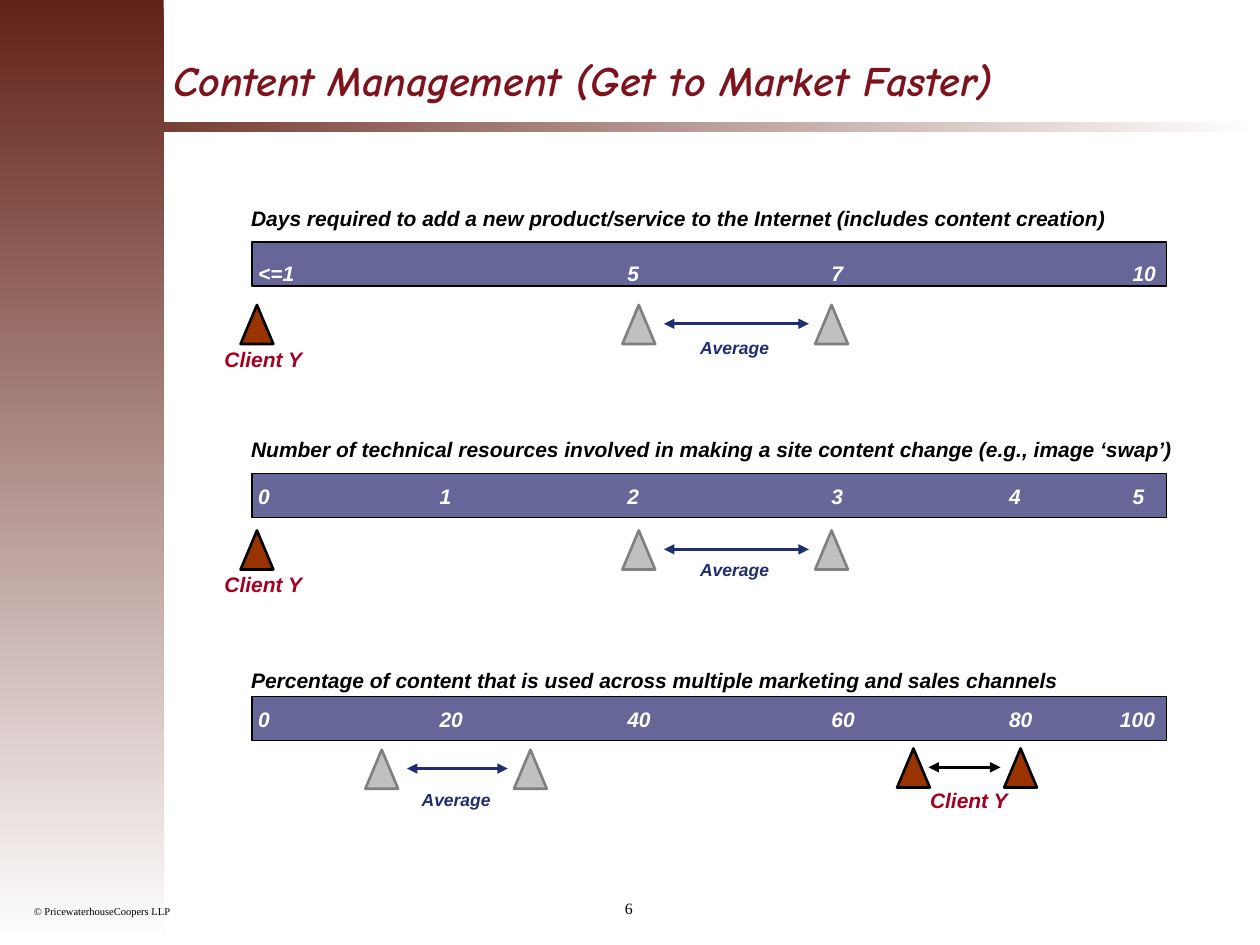
from dataclasses import dataclass
from typing import NamedTuple

from lxml.etree import SubElement
from pptx import Presentation
from pptx.dml.color import RGBColor as RGB
from pptx.enum.shapes import MSO_CONNECTOR as Conn, MSO_SHAPE as Shape
from pptx.enum.text import MSO_ANCHOR as Anchor, MSO_AUTO_SIZE as Fit, PP_ALIGN as Align
from pptx.oxml.ns import qn
from pptx.util import Inches, Pt

COLS, ROWS = 100, 75
WIDTH, HEIGHT = Inches(10), Inches(7.5)


@dataclass(frozen=True)
class Theme:
    maroon: str = "622218"
    title: str = "7C131D"
    bar: str = "666699"
    average: str = "202D6F"
    client: str = "A50021"
    client_fill: str = "993300"
    average_fill: str = "C0C0C0"
    average_edge: str = "808080"
    black: str = "000000"
    white: str = "FFFFFF"
    sans: str = "Arial"
    serif: str = "Times New Roman"
    display: str = "Comic Neue"
    title_size: float = 24
    body_size: float = 12
    label_size: float = 10
    page_size: float = 9
    legal_size: float = 6


T = Theme()


class Box(NamedTuple):
    x: float
    y: float
    w: float
    h: float


class Kind(NamedTuple):
    label: str
    fill: str
    edge: str
    arrow: str
    color: str
    size: float
    w: float
    h: float
    gap_left: float
    gap_right: float


CLIENT = Kind("Client Y", T.client_fill, T.black, T.black, T.client,
              T.body_size, 8.4, 3, 2.5, 0.3)
AVERAGE = Kind("Average", T.average_fill, T.average_edge, T.average, T.average,
               T.label_size, 8, 2.7, 3.3, 0.5)


class Marker(NamedTuple):
    kind: Kind
    xs: tuple
    y: float
    label_x: float
    label_y: float


class Scale(NamedTuple):
    caption: str
    caption_box: Box
    bar_y: float
    tick_y: float
    ticks: dict
    markers: tuple


TICK_X = (19.5, 33.9, 48.8, 65, 79.1, 88.9)
SCALES = (
    Scale("Days required to add a new product/service to the Internet (includes content creation)",
          Box(18.95, 15.8, 71, 3), 19.2, 20.2,
          {"<=1": 19.5, "5": 48.8, "7": 65, "10": 88.9},
          (Marker(CLIENT, (19.1,), 24.2, 16.7, 27),
           Marker(AVERAGE, (49.4, 64.7), 24.2, 54.3, 26.25))),
    Scale("Number of technical resources involved in making a site content change (e.g., image ‘swap’)",
          Box(18.95, 34.15, 77, 3), 37.6, 37.9,
          dict(zip("012345", TICK_X)),
          (Marker(CLIENT, (19.1,), 42.1, 16.7, 44.85),
           Marker(AVERAGE, (49.4, 64.7), 42.1, 54.3, 43.9))),
    Scale("Percentage of content that is used across multiple marketing and sales channels",
          Box(18.95, 52.5, 67, 3), 55.3, 55.6,
          dict(zip(("0", "20", "40", "60", "80", "100"), TICK_X[:5] + (87.9,))),
          (Marker(AVERAGE, (29, 40.8), 59.5, 32.2, 62.1),
           Marker(CLIENT, (71.2, 79.7), 59.4, 72.7, 62))),
)


def col(n: float) -> int:
    return round(WIDTH * n / COLS)


def row(n: float) -> int:
    return round(HEIGHT * n / ROWS)


def place(box: Box) -> tuple:
    return col(box.x), row(box.y), col(box.w), row(box.h)


def apply(target, values: dict) -> None:
    for name, value in values.items():
        setattr(target, name, value)


def write(tf, text: str, size: float, color: str, font: str = T.sans,
          strong: bool = True, align=Align.LEFT, spacing: float = 1.0) -> None:
    p = tf.paragraphs[0]
    apply(p, {"alignment": align, "line_spacing": spacing})
    r = p.add_run()
    r.text = text
    apply(r.font, {"name": font, "size": Pt(size), "bold": strong, "italic": strong})
    r.font.color.rgb = RGB.from_string(color)


def add_text(s, box: Box, text: str, size: float, color: str, **style) -> None:
    tf = s.shapes.add_textbox(*place(box)).text_frame
    apply(tf, {"word_wrap": False, "auto_size": Fit.NONE})
    write(tf, text, size, color, **style)


def add_solid(s, preset, box: Box, fill: str, edge: str, weight: float) -> None:
    sp = s.shapes.add_shape(preset, *place(box))
    sp.shadow.inherit = False
    sp.fill.solid()
    sp.fill.fore_color.rgb = RGB.from_string(fill)
    sp.line.color.rgb = RGB.from_string(edge)
    sp.line.width = Pt(weight)


def add_fade(s, box: Box, angle: float) -> None:
    sp = s.shapes.add_shape(Shape.RECTANGLE, *place(box))
    sp.shadow.inherit = False
    sp.line.fill.background()
    sp.fill.gradient()
    sp.fill.gradient_angle = angle
    for stop, color in zip(sp.fill.gradient_stops, (T.maroon, T.white)):
        stop.color.rgb = RGB.from_string(color)


def add_arrow(s, x1: float, x2: float, y: float, color: str) -> None:
    line = s.shapes.add_connector(Conn.STRAIGHT, col(x1), row(y), col(x2), row(y))
    line.line.color.rgb = RGB.from_string(color)
    line.line.width = Pt(1.5)
    ln = line.line._get_or_add_ln()
    for end in ("a:headEnd", "a:tailEnd"):
        SubElement(ln, qn(end), type="triangle")
    SubElement(line._element.spPr, qn("a:effectLst"))


def add_marker(s, m: Marker) -> None:
    k = m.kind
    for x in m.xs:
        add_solid(s, Shape.ISOSCELES_TRIANGLE, Box(x, m.y, 2.6, 3.1), k.fill, k.edge, 1.5)
    if len(m.xs) == 2:
        add_arrow(s, m.xs[0] + k.gap_left, m.xs[1] - k.gap_right, m.y + 1.5, k.arrow)
    add_text(s, Box(m.label_x, m.label_y, k.w, k.h), k.label, k.size, k.color,
             align=Align.CENTER)


def add_scale(s, scale: Scale) -> None:
    add_solid(s, Shape.RECTANGLE, Box(20, scale.bar_y, 72.6, 3.5), T.bar, T.black, 0.75)
    add_text(s, scale.caption_box, scale.caption, T.body_size, T.black)
    for text, x in scale.ticks.items():
        add_text(s, Box(x, scale.tick_y, 1.9 + len(text), 3), text, T.body_size, T.white)
    for marker in scale.markers:
        add_marker(s, marker)


def add_title(s, text: str) -> None:
    sp = s.shapes.title
    apply(sp, dict(zip(("left", "top", "width", "height"), place(Box(13.8, 2.7, 83.9, 5.6)))))
    tf = sp.text_frame
    apply(tf, {"margin_left": 0, "margin_top": 0, "margin_right": 0, "margin_bottom": 0,
               "vertical_anchor": Anchor.BOTTOM, "word_wrap": True, "auto_size": Fit.NONE})
    write(tf, text, T.title_size, T.title, font=T.display, spacing=0.8)


def main() -> None:
    prs = Presentation()
    apply(prs, {"slide_width": WIDTH, "slide_height": HEIGHT})
    s = prs.slides.add_slide(prs.slide_layouts[5])
    add_fade(s, Box(0, 9.7, COLS, 0.8), 0)
    add_fade(s, Box(0, 0, 13, ROWS), 270)
    add_text(s, Box(1.7, 71.3, 12.8, 2), "© PricewaterhouseCoopers LLP", T.legal_size,
             T.black, font=T.serif, strong=False)
    add_text(s, Box(46.3, 71, 7.2, 2.3), "6", T.page_size, T.black, font=T.serif,
             strong=False, align=Align.CENTER, spacing=0.9)
    for scale in SCALES:
        add_scale(s, scale)
    add_title(s, "Content Management (Get to Market Faster)")
    prs.save("out.pptx")


if __name__ == "__main__":
    main()
